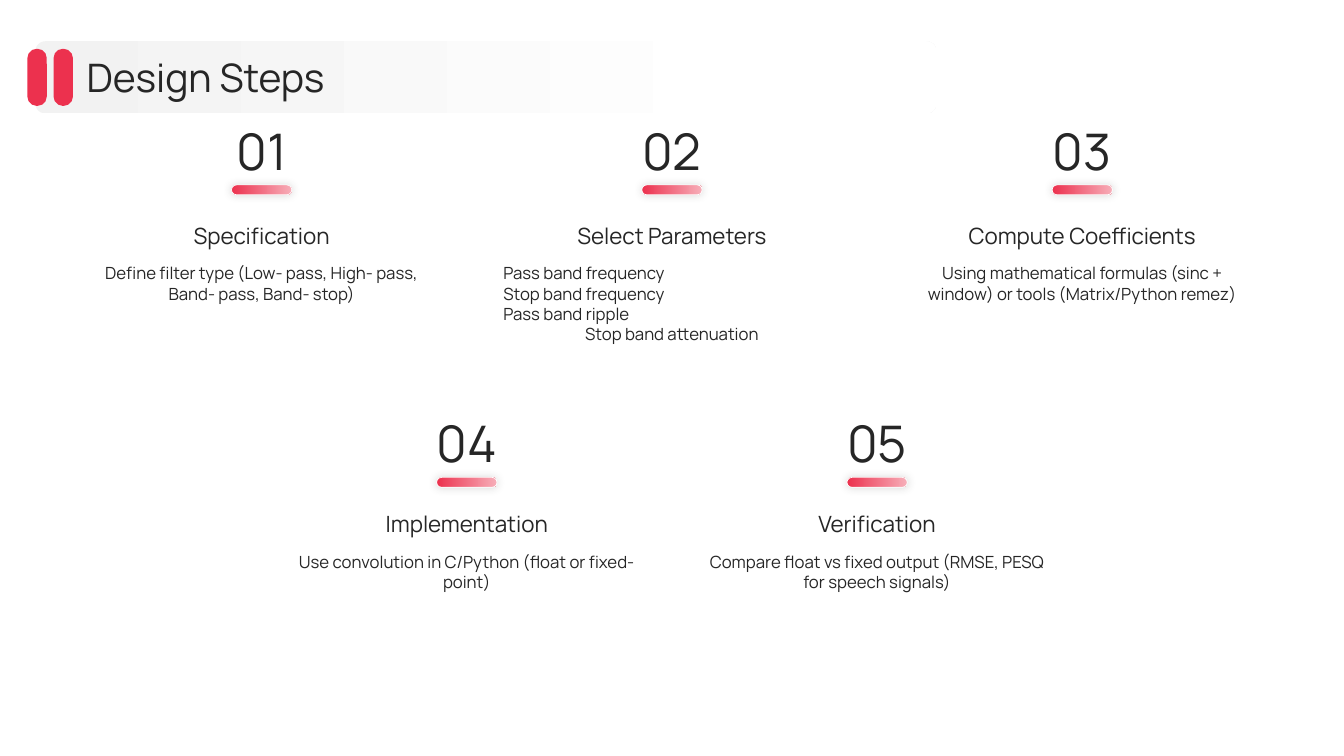
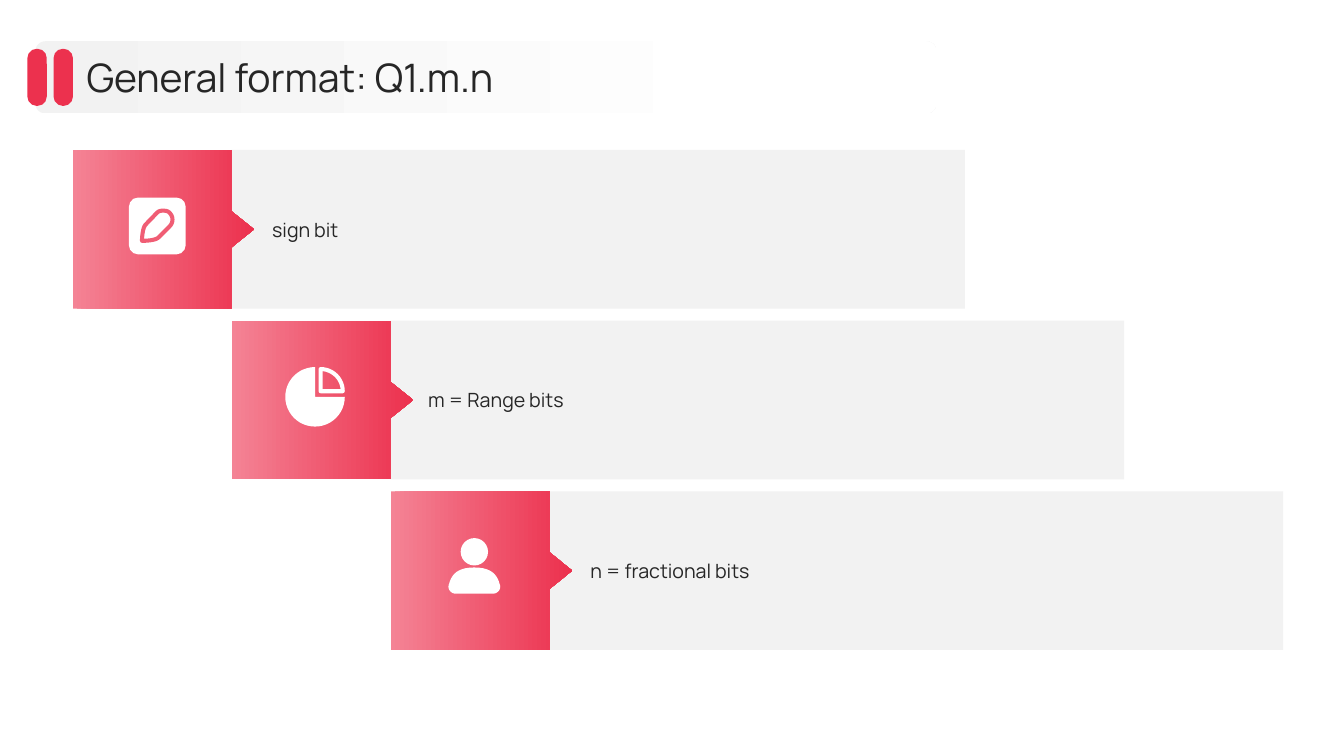
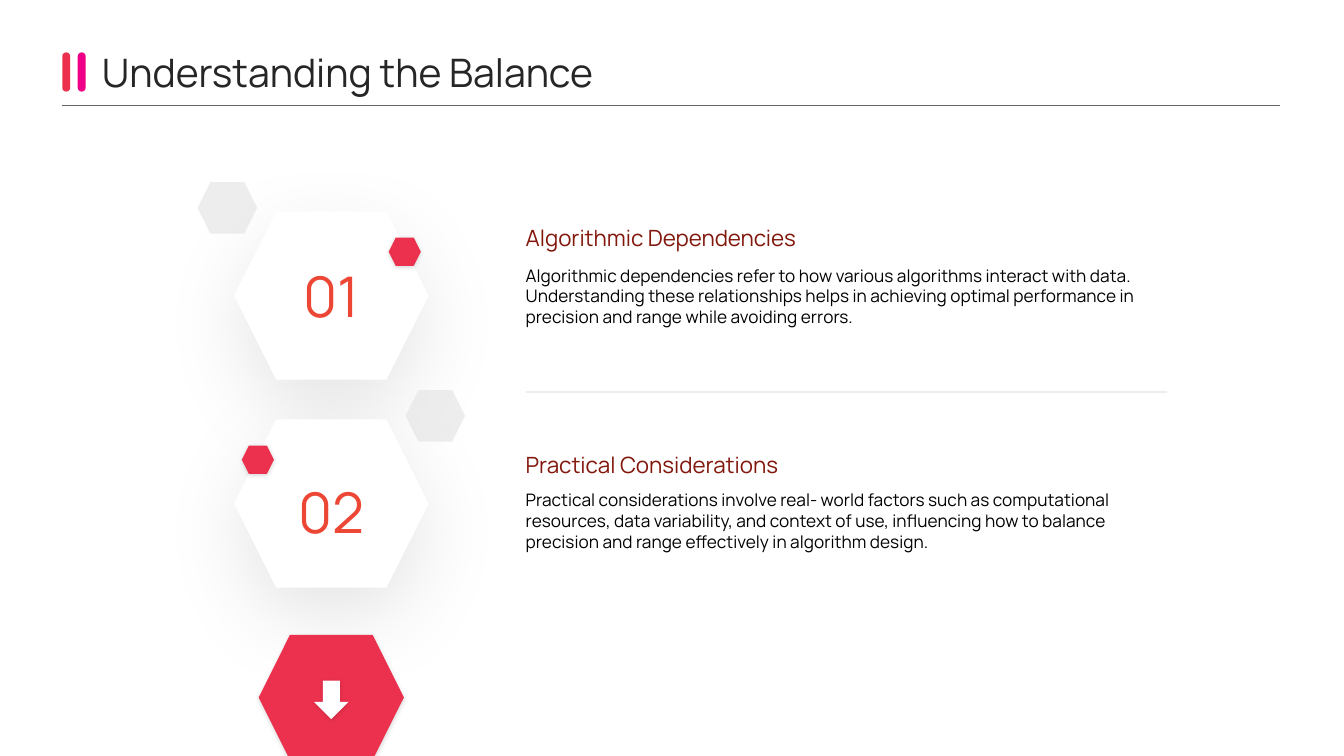
"""Build three slides on filter design steps, the Q number format and balance."""
from lxml.etree import SubElement
from pptx import Presentation
from pptx.dml.color import RGBColor
from pptx.enum.shapes import MSO_CONNECTOR, MSO_SHAPE
from pptx.enum.text import MSO_ANCHOR, MSO_AUTO_SIZE, PP_ALIGN
from pptx.oxml.ns import qn
from pptx.util import Cm, Pt

DESIGN_TITLE = "Design Steps"
STEP_ROWS = [
    (3.02, 5.33, [
        ("Specification", [("Define filter type (Low- pass, High- pass, Band- pass, Band- stop)", PP_ALIGN.CENTER)]),
        ("Select Parameters", [
            ("Pass band frequency", PP_ALIGN.LEFT),
            ("Stop band frequency", PP_ALIGN.LEFT),
            ("Pass band ripple", PP_ALIGN.LEFT),
            ("Stop band attenuation", PP_ALIGN.CENTER),
        ]),
        ("Compute Coefficients", [("Using mathematical formulas (sinc + window) or tools (Matrix/Python remez)", PP_ALIGN.CENTER)]),
    ]),
    (10.39, 12.6, [
        ("Implementation", [("Use convolution in C/Python (float or fixed- point)", PP_ALIGN.CENTER)]),
        ("Verification", [("Compare float vs fixed output (RMSE, PESQ for speech signals)", PP_ALIGN.CENTER)]),
    ]),
]

FORMAT_TITLE = "General format: Q1.m.n"
FORMAT_PARTS = [("sign bit", 5.03), ("m = Range bits", 4.95), ("n = fractional bits", 5.03)]
PENCIL_OUTLINE = [
    [(1.75, 2.29)],
    [(1.75, 2.14), (1.78, 1.93), (1.85, 1.87)],
    [(2.12, 1.59)],
    [(2.17, 1.54), (2.21, 1.53), (2.28, 1.53)],
    [(2.35, 1.53), (2.41, 1.54), (2.45, 1.59)],
    [(2.54, 1.68), (2.54, 1.83), (2.45, 1.92)],
    [(2.17, 2.2)],
    [(2.11, 2.27), (1.9, 2.29), (1.75, 2.29)],
]
SHOULDERS_OUTLINE = [
    [(2.1, 1.92)],
    [(2.53, 1.92), (2.68, 2.1), (2.74, 2.33)],
    [(2.8, 2.45), (2.7, 2.58), (2.58, 2.58)],
    [(1.63, 2.58)],
    [(1.51, 2.58), (1.41, 2.45), (1.47, 2.33)],
    [(1.53, 2.1), (1.68, 1.92), (2.1, 1.92)],
]

BALANCE_TITLE = "Understanding the Balance"
TOPICS = [
    ("Algorithmic Dependencies",
     "Algorithmic dependencies refer to how various algorithms interact with data. "
     "Understanding these relationships helps in achieving optimal performance in "
     "precision and range while avoiding errors.", 5.31, 6.68, 6.53, 1),
    ("Practical Considerations",
     "Practical considerations involve real- world factors such as computational "
     "resources, data variability, and context of use, influencing how to balance "
     "precision and range effectively in algorithm design.", 11.02, 12.34, 11.96, -1),
]

FONT = "Manrope"
WHITE = RGBColor(0xFF, 0xFF, 0xFF)
BLACK = RGBColor(0, 0, 0)
INK = RGBColor(0x26, 0x26, 0x26)
RED = RGBColor(0xEC, 0x31, 0x4E)
PALE_RED = RGBColor(0xF7, 0xAD, 0xB8)
ROSE = RGBColor(0xF4, 0x83, 0x95)
PENCIL_ROSE = RGBColor(0xF0, 0x5D, 0x74)
MAGENTA = RGBColor(0xEF, 0x00, 0x86)
MAROON = RGBColor(0x82, 0x17, 0x0C)
ORANGE = RGBColor(0xEC, 0x46, 0x35)
LIGHT_GREY = RGBColor(0xF2, 0xF2, 0xF2)
HEX_GREY = RGBColor(0xE7, 0xE6, 0xE6)
RULE_GREY = RGBColor(0x66, 0x66, 0x66)

SLIDE_WIDTH, SLIDE_HEIGHT = 33.87, 19.05
BAR_SHADOW = ("404040", 20, 6, 0, 0)
HEX_SHADOW = ("000000", 10, 60, 20, 90)
SMALL_SHADOW = ("000000", 15, 3, 1, 90)


def set_alpha(element, percent):
    color = next(element.iter(qn("a:srgbClr")))
    SubElement(color, qn("a:alpha"), val=str(percent * 1000))


def paint(shape, fill=None, line=None, line_width=0.5, shadow=None, end=None, end_at=1.0):
    if fill is None:
        shape.fill.background()
    elif end is None:
        shape.fill.solid()
        shape.fill.fore_color.rgb = fill
    else:
        shape.fill.gradient()
        shape.fill.gradient_angle = 0
        first, last = shape.fill.gradient_stops
        first.color.rgb, last.color.rgb = fill, end
        first.position, last.position = 0, end_at
    if line is None:
        shape.line.fill.background()
    else:
        shape.line.color.rgb = line
        shape.line.width = Pt(line_width)
    shape.shadow.inherit = False
    if shadow:
        color, opacity, blur, distance, angle = shadow
        effects = shape.element.spPr.find(qn("a:effectLst"))
        outer = SubElement(effects, qn("a:outerShdw"), blurRad=str(Pt(blur)),
                           dist=str(Pt(distance)), dir=str(angle * 60000),
                           algn="ctr", rotWithShape="0")
        SubElement(outer, qn("a:srgbClr"), val=color)
        set_alpha(outer, opacity)
    return shape


def add_block(slide, kind, box, fill=None, radius=None, **style):
    shape = slide.shapes.add_shape(kind, *map(Cm, box))
    if radius is not None:
        shape.adjustments[0] = radius
    return paint(shape, fill, **style)


def add_hexagon(slide, center, top, size, fill, **style):
    width, height = size
    return add_block(slide, MSO_SHAPE.HEXAGON, (center - width / 2, top, width, height), fill, **style)


def add_rule(slide, left, right, y, color):
    rule = slide.shapes.add_connector(MSO_CONNECTOR.STRAIGHT, Cm(left), Cm(y), Cm(right), Cm(y))
    rule.line.color.rgb = color
    rule.line.width = Pt(0.5)
    SubElement(rule.element.spPr, qn("a:effectLst"))
    return rule


def write(shape, lines, size, color, anchor):
    frame = shape.text_frame
    frame.word_wrap = True
    frame.auto_size = MSO_AUTO_SIZE.NONE
    frame.vertical_anchor = anchor
    frame.margin_left = frame.margin_right = frame.margin_top = frame.margin_bottom = 0
    for index, (text, align) in enumerate(lines):
        paragraph = frame.add_paragraph() if index else frame.paragraphs[0]
        paragraph.alignment = align
        run = paragraph.add_run()
        run.text = text
        run.font.name = FONT
        run.font.size = Pt(size)
        run.font.color.rgb = color


def add_text(slide, box, lines, size, color=INK, anchor=MSO_ANCHOR.TOP):
    write(slide.shapes.add_textbox(*map(Cm, box)), lines, size, color, anchor)


def add_titled_slide(deck, text, left, top, width):
    slide = deck.slides.add_slide(deck.slide_layouts[5])
    title = slide.shapes.title
    title.left, title.top, title.width, title.height = map(Cm, (left, top, width, 1.3))
    write(title, [(text, PP_ALIGN.LEFT)], 28, INK, MSO_ANCHOR.MIDDLE)
    return slide


def add_banded_slide(deck, text):
    slide = add_titled_slide(deck, text, 2.18, 1.28, 29.64)
    add_block(slide, MSO_SHAPE.ROUNDED_RECTANGLE, (0.89, 1.04, 22.71, 1.82), LIGHT_GREY,
              radius=0.14, end=WHITE, end_at=0.8)
    for left in (0.69, 1.35):
        add_block(slide, MSO_SHAPE.ROUNDED_RECTANGLE, (left, 1.23, 0.49, 1.44), RED, radius=0.48)
    slide.shapes.element.append(slide.shapes.title.element)
    return slide


def add_outline(slide, left, top, segments, samples=10):
    points = []
    for segment in segments:
        if len(segment) == 1:
            points += segment
            continue
        controls = [points[-1], *segment]
        for step in range(1, samples + 1):
            t = step / samples
            weights = ((1 - t) ** 3, 3 * t * (1 - t) ** 2, 3 * t * t * (1 - t), t ** 3)
            points.append(tuple(sum(w * c[axis] for w, c in zip(weights, controls)) for axis in (0, 1)))
    placed = [(Cm(left + x), Cm(top + y)) for x, y in points]
    builder = slide.shapes.build_freeform(*placed[0], scale=1.0)
    builder.add_line_segments(placed[1:], close=True)
    return builder.convert_to_shape()


def draw_pencil(slide, left, top):
    add_block(slide, MSO_SHAPE.ROUNDED_RECTANGLE, (left + 1.42, top + 1.2, 1.43, 1.43), WHITE, radius=0.16)
    paint(add_outline(slide, left, top, PENCIL_OUTLINE), line=PENCIL_ROSE, line_width=2.9)


def draw_pie(slide, left, top):
    add_block(slide, MSO_SHAPE.PIE, (left + 1.35, top + 1.17, 1.5, 1.5), WHITE)
    piece = add_block(slide, MSO_SHAPE.PIE, (left + 1.68, top + 1.22, 1.12, 1.12), line=WHITE, line_width=2.9)
    piece.adjustments[0], piece.adjustments[1] = 162, 0


def draw_person(slide, left, top):
    add_block(slide, MSO_SHAPE.OVAL, (left + 1.76, top + 1.18, 0.69, 0.69), WHITE)
    paint(add_outline(slide, left, top, SHOULDERS_OUTLINE), WHITE)


def build_design_steps(deck):
    slide = add_banded_slide(deck, DESIGN_TITLE)
    number = 0
    for number_top, heading_top, steps in STEP_ROWS:
        for column, (heading, details) in enumerate(steps):
            number += 1
            center = SLIDE_WIDTH / 2 + (column - (len(steps) - 1) / 2) * 10.34
            left = center - 4.25
            add_text(slide, (center - 1.5, number_top, 3, 1.5), [(f"{number:02}", PP_ALIGN.CENTER)], 36)
            add_block(slide, MSO_SHAPE.ROUNDED_RECTANGLE, (center - 0.76, number_top + 1.64, 1.52, 0.25),
                      RED, radius=0.5, end=PALE_RED, line=WHITE, shadow=BAR_SHADOW)
            add_text(slide, (left, heading_top, 8.5, 1.19), [(heading, PP_ALIGN.CENTER)], 16,
                     anchor=MSO_ANCHOR.MIDDLE)
            add_text(slide, (left, heading_top + 1.3, 8.5, 3.15), details, 12)


def build_general_format(deck):
    slide = add_banded_slide(deck, FORMAT_TITLE)
    side, tip, half_tip = 4, 4.57, 0.46
    middle = side / 2
    tile_outline = [[point] for point in (
        (0, 0), (side, 0), (side, middle - half_tip), (tip, middle),
        (side, middle + half_tip), (side, side), (0, side))]
    icons = (draw_pencil, draw_pie, draw_person)
    for index, ((meaning, inset), draw_icon) in enumerate(zip(FORMAT_PARTS, icons)):
        left, top = 1.83 + index * 4.01, 3.78 + index * 4.3
        add_block(slide, MSO_SHAPE.RECTANGLE, (left + side, top, 18.49, side), LIGHT_GREY)
        paint(add_outline(slide, left, top, tile_outline), ROSE, end=RED)
        draw_icon(slide, left, top)
        add_text(slide, (left + inset, top + 0.4, 16.5, 3.2), [(meaning, PP_ALIGN.LEFT)], 14,
                 anchor=MSO_ANCHOR.MIDDLE)


def build_balance(deck):
    slide = add_titled_slide(deck, BALANCE_TITLE, 2.57, 1.17, 27.86)
    for left, color in ((1.57, RED), (1.96, MAGENTA)):
        add_block(slide, MSO_SHAPE.ROUNDED_RECTANGLE, (left, 1.32, 0.2, 0.99), color, radius=0.5)
    add_rule(slide, 1.57, 32.26, 2.66, RULE_GREY)

    center, text_left, text_width = 8.35, 13.25, 16.2
    for index, (heading, body, heading_top, body_top, number_top, side) in enumerate(TOPICS):
        top = 5.33 + index * 5.24
        add_hexagon(slide, center, top, (4.9, 4.24), WHITE, shadow=HEX_SHADOW)
        add_hexagon(slide, center + side * 1.85, top + 0.66, (0.81, 0.71), RED, shadow=SMALL_SHADOW)
        pale = add_hexagon(slide, center - side * 2.62, top - 0.74, (1.5, 1.3), HEX_GREY)
        set_alpha(pale.element, 70)
        add_text(slide, (text_left, heading_top, text_width, 1.02), [(heading, PP_ALIGN.LEFT)], 16,
                 MAROON, MSO_ANCHOR.BOTTOM)
        add_text(slide, (text_left, body_top, text_width, 2.95), [(body, PP_ALIGN.LEFT)], 12.3, BLACK)
        add_text(slide, (center - 1.24, number_top, 2.49, 1.83), [(f"{index + 1:02}", PP_ALIGN.CENTER)], 40,
                 ORANGE, MSO_ANCHOR.MIDDLE)
    divider = add_rule(slide, 13.26, 29.41, 9.88, BLACK)
    set_alpha(divider.element, 20)
    add_hexagon(slide, center, 16, (3.66, 3.15), RED, shadow=SMALL_SHADOW)
    add_block(slide, MSO_SHAPE.DOWN_ARROW, (center - 0.43, 17.15, 0.86, 0.97), WHITE, shadow=SMALL_SHADOW)


def main():
    deck = Presentation()
    deck.slide_width, deck.slide_height = Cm(SLIDE_WIDTH), Cm(SLIDE_HEIGHT)
    build_design_steps(deck)
    build_general_format(deck)
    build_balance(deck)
    deck.save("out.pptx")


if __name__ == "__main__":
    main()
